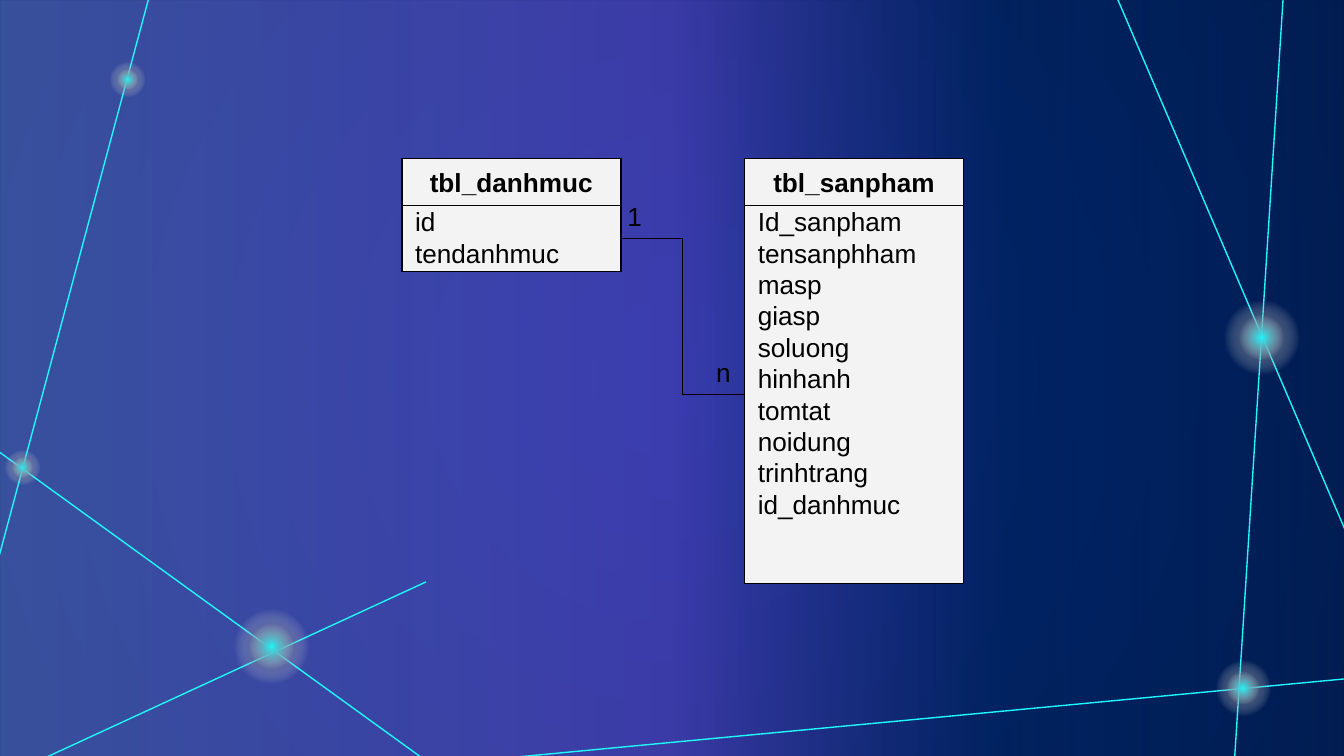
from dataclasses import dataclass

from lxml.etree import SubElement
from pptx import Presentation
from pptx.dml.color import RGBColor
from pptx.enum.shapes import MSO_CONNECTOR as CONN, MSO_SHAPE as SHAPE
from pptx.enum.text import MSO_ANCHOR as ANCHOR, PP_ALIGN as ALIGN
from pptx.oxml.ns import qn
from pptx.util import Inches, Pt


@dataclass(frozen=True)
class Theme:
    font: str = "Arial"
    size: float = 14
    line_width: float = 0.75
    ink: str = "000000"
    box: str = "F3F3F3"
    accent: str = "20F8FD"
    navy: str = "012060"
    night: str = "00183A"


@dataclass(frozen=True)
class Stop:
    pos: int
    color: str
    opacity: int = 100


@dataclass(frozen=True)
class Glow:
    x: float
    y: float
    size: float


@dataclass(frozen=True)
class Entity:
    name: str
    fields: list[str]
    left: float
    body_height: float


T = Theme()
WIDTH = 10
HEIGHT = WIDTH * 9 / 16
ENTITY_TOP, ENTITY_WIDTH, HEADER_HEIGHT = 1.18, 1.63, 0.35
CORE_RATIO = 0.6

WASH = [Stop(0, "748BFF", 49), Stop(50, "7659FF", 50),
        Stop(75, "022E88", 35), Stop(100, T.navy, 60)]
RAYS = [
    (8.31, -0.02, 10.02, 3.97),
    (9.55, -0.06, 9.18, 5.74),
    (3.77, 5.64, 10.13, 5.04),
    (-0.01, 3.36, 3.21, 5.69),
    (0.16, 5.72, 3.17, 4.33),
    (1.13, -0.1, -0.01, 4.15),
]
GLOWS = [
    Glow(9.39, 2.51, 0.79),
    Glow(9.25, 5.12, 0.58),
    Glow(2.02, 4.81, 0.79),
    Glow(0.17, 3.48, 0.37),
    Glow(0.95, 0.59, 0.37),
]
CATEGORY = Entity("tbl_danhmuc", ["id", "tendanhmuc"], 2.99, 0.49)
PRODUCT = Entity("tbl_sanpham", [
    "Id_sanpham", "tensanphham", "masp", "giasp", "soluong",
    "hinhanh", "tomtat", "noidung", "trinhtrang", "id_danhmuc",
], 5.54, 2.81)


def set_gradient(fill, element, stops: list[Stop], radial: bool) -> None:
    """Fill with a left-to-right gradient, or one running out from the centre."""
    fill.gradient()
    grad = element.find(".//" + qn("a:gradFill"))
    for child in list(grad):
        grad.remove(child)
    stop_list = SubElement(grad, qn("a:gsLst"))
    for stop in stops:
        gs = SubElement(stop_list, qn("a:gs"), pos=str(stop.pos * 1000))
        color = SubElement(gs, qn("a:srgbClr"), val=stop.color)
        if stop.opacity < 100:
            SubElement(color, qn("a:alpha"), val=str(stop.opacity * 1000))
    if radial:
        path = SubElement(grad, qn("a:path"), path="circle")
        SubElement(path, qn("a:fillToRect"), dict.fromkeys("ltrb", "50000"))
    else:
        SubElement(grad, qn("a:lin"), ang="0", scaled="0")


def add_shape(slide, kind, left: float, top: float, width: float, height: float):
    sp = slide.shapes.add_shape(
        kind, Inches(left), Inches(top), Inches(width), Inches(height))
    sp.shadow.inherit = False
    sp.line.fill.background()
    return sp


def add_line(slide, kind, x1: float, y1: float, x2: float, y2: float, color: str):
    line = slide.shapes.add_connector(
        kind, Inches(x1), Inches(y1), Inches(x2), Inches(y2))
    line.line.color.rgb = RGBColor.from_string(color)
    line.line.width = Pt(T.line_width)
    SubElement(line._element.spPr, qn("a:effectLst"))
    return line


def add_glow(slide, glow: Glow) -> None:
    for color, size in ((T.night, glow.size), (T.accent, glow.size * CORE_RATIO)):
        sp = add_shape(slide, SHAPE.OVAL, glow.x - size / 2, glow.y - size / 2,
                       size, size)
        stops = [Stop(0, color), Stop(50, T.box, 0), Stop(100, T.box, 0)]
        set_gradient(sp.fill, sp._element, stops, radial=True)


def write(tf, lines: list[str], align=ALIGN.LEFT, bold: bool = False) -> None:
    tf.word_wrap = True
    for i, text in enumerate(lines):
        p = tf.add_paragraph() if i else tf.paragraphs[0]
        p.text = text
        p.alignment = align
        p.font.name, p.font.size, p.font.bold = T.font, Pt(T.size), bold
        p.font.color.rgb = RGBColor.from_string(T.ink)


def add_box(slide, left: float, top: float, height: float):
    sp = add_shape(slide, SHAPE.RECTANGLE, left, top, ENTITY_WIDTH, height)
    sp.fill.solid()
    sp.fill.fore_color.rgb = RGBColor.from_string(T.box)
    sp.line.color.rgb = RGBColor.from_string(T.ink)
    sp.line.width = Pt(T.line_width)
    return sp


def add_entity(slide, entity: Entity):
    """Draw the header and field boxes, and return the field box."""
    header = add_box(slide, entity.left, ENTITY_TOP, HEADER_HEIGHT)
    header.text_frame.vertical_anchor = ANCHOR.MIDDLE
    write(header.text_frame, [entity.name], ALIGN.CENTER, bold=True)

    body = add_box(slide, entity.left, ENTITY_TOP + HEADER_HEIGHT,
                   entity.body_height)
    tf = body.text_frame
    tf.vertical_anchor = ANCHOR.TOP
    tf.margin_top = tf.margin_bottom = 0
    write(tf, entity.fields)
    return body


def add_label(slide, text: str, left: float, top: float) -> None:
    box = slide.shapes.add_textbox(
        Inches(left), Inches(top), Inches(0.3), Inches(0.34))
    write(box.text_frame, [text])


def main() -> None:
    prs = Presentation()
    prs.slide_width, prs.slide_height = Inches(WIDTH), Inches(HEIGHT)
    slide = prs.slides.add_slide(prs.slide_layouts[6])

    set_gradient(slide.background.fill, slide._element,
                 [Stop(0, T.navy), Stop(100, T.night)], radial=True)
    wash = add_shape(slide, SHAPE.RECTANGLE, 0, 0, WIDTH, HEIGHT)
    set_gradient(wash.fill, wash._element, WASH, radial=False)
    for ray in RAYS:
        add_line(slide, CONN.STRAIGHT, *ray, T.accent)
    for glow in GLOWS:
        add_glow(slide, glow)

    category = add_entity(slide, CATEGORY)
    product = add_entity(slide, PRODUCT)
    relation = add_line(slide, CONN.ELBOW, 4.62, 1.77, 5.54, 2.93, T.ink)
    relation.begin_connect(category, 3)
    relation.end_connect(product, 1)
    add_label(slide, "1", 4.57, 1.44)
    add_label(slide, "n", 5.23, 2.6)

    prs.save("out.pptx")


if __name__ == "__main__":
    main()
